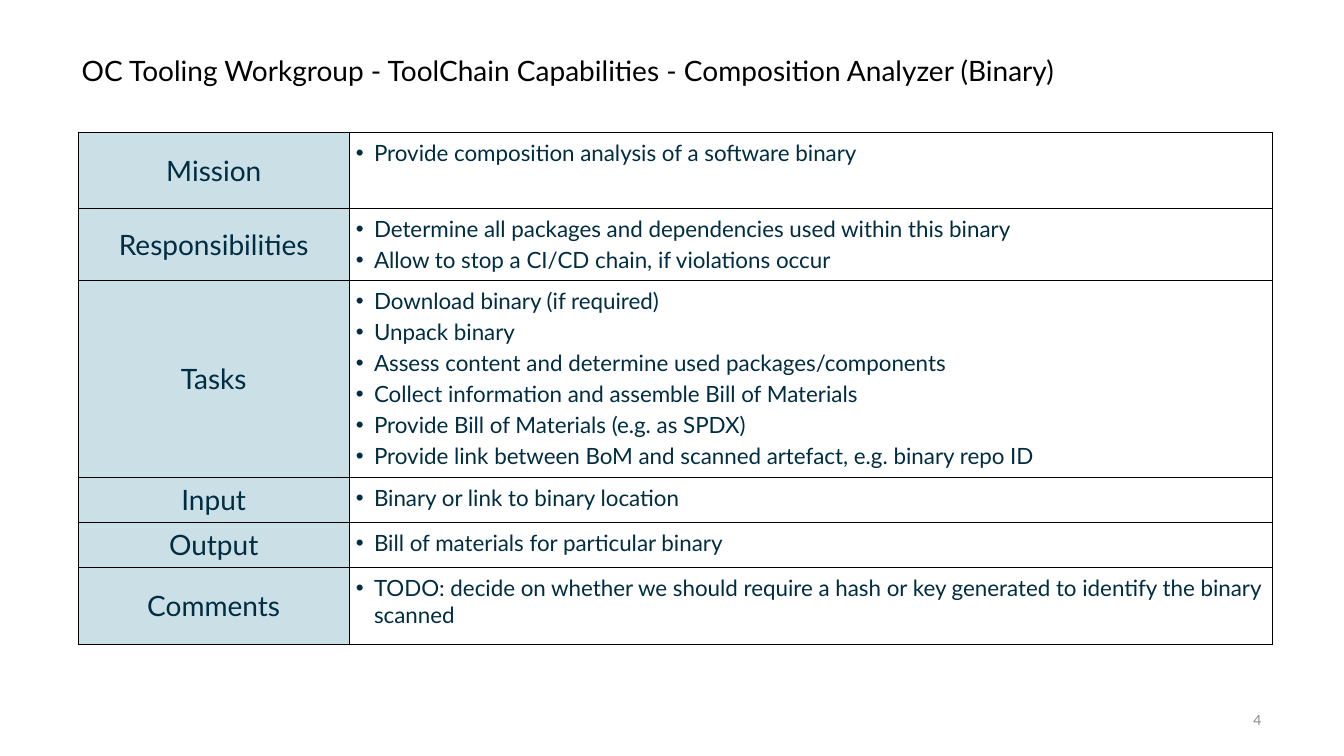
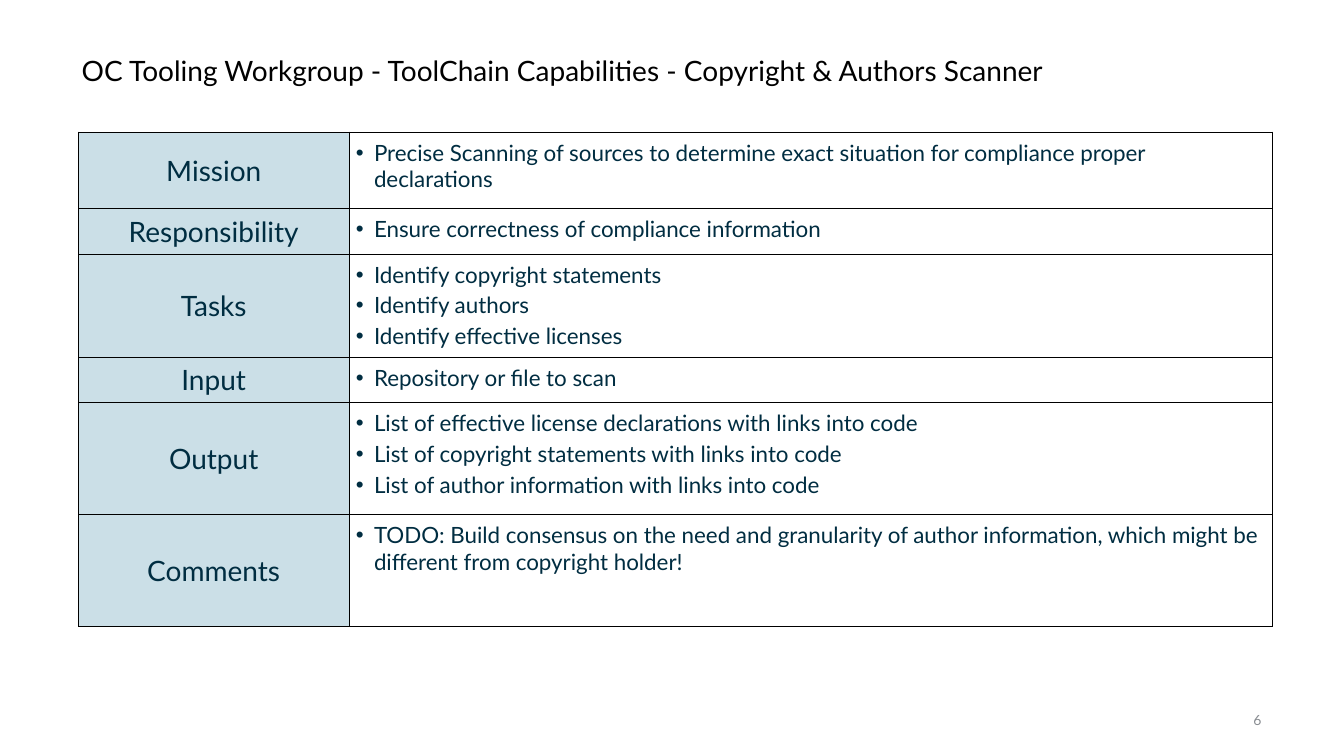
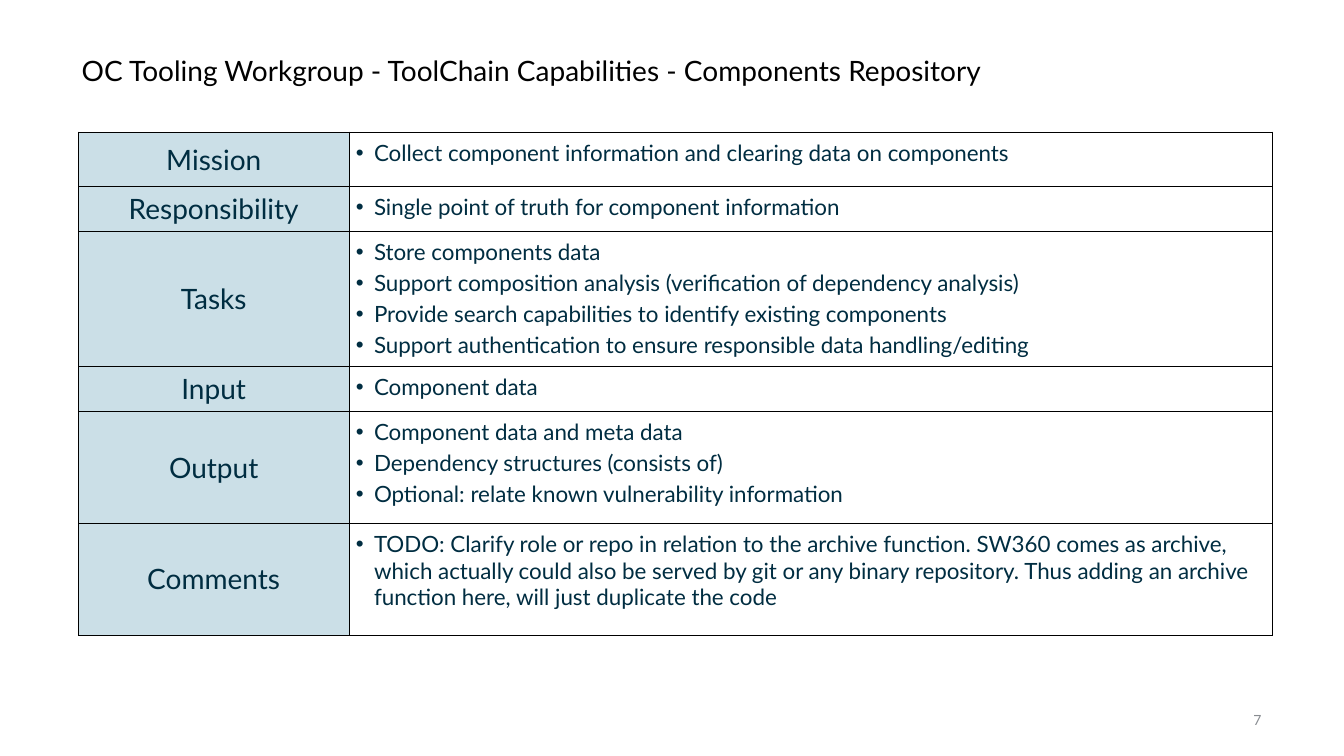
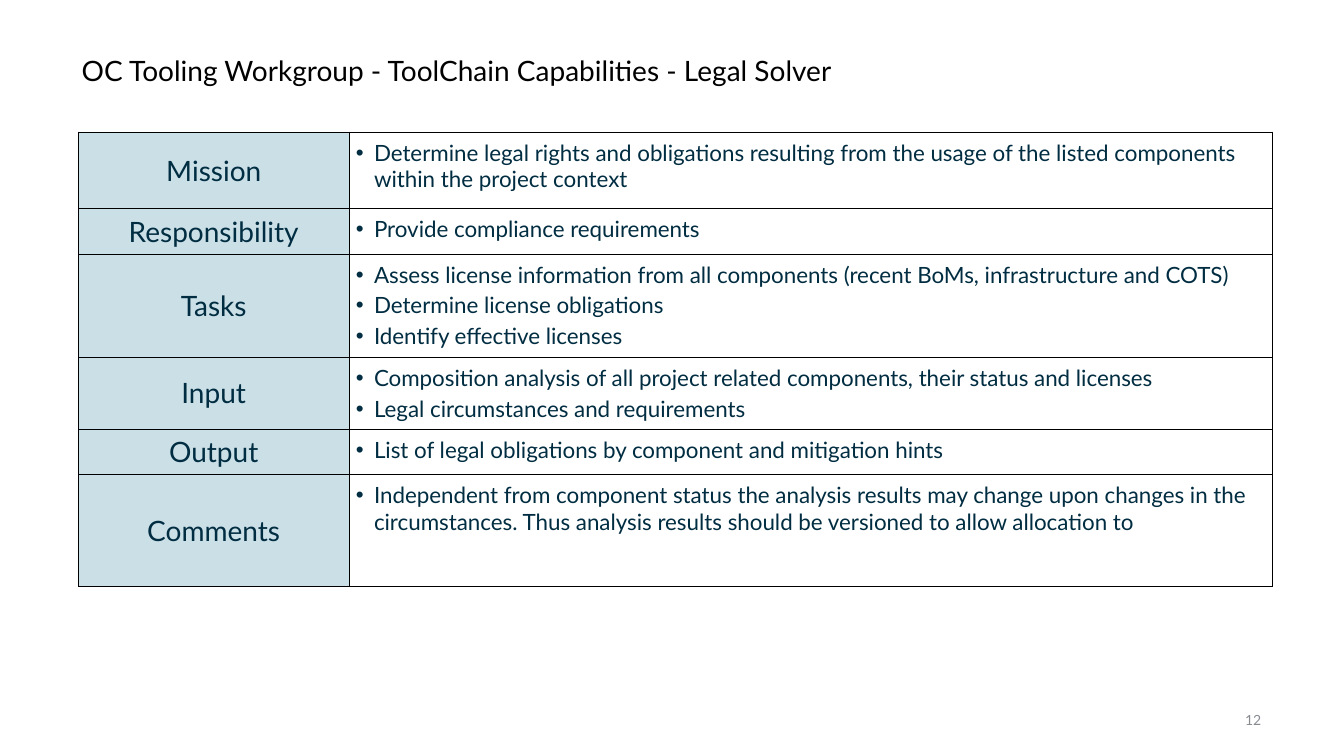
from pptx import Presentation
from pptx import util as u
from pptx.dml.color import RGBColor
from pptx.enum import text
from pptx.oxml import parse_xml
from pptx.oxml import ns

Inches, Pt = u.Inches, u.Pt
FONT = "Lato"
COLORS = {"title": "000000", "text": "002D41", "label": "CBDFE7",
          "border": "000000", "number": "888C91"}
TITLE_PREFIX = "OC Tooling Workgroup - ToolChain Capabilities - "
COLUMNS = (2.68, 9.16)

# Each row: label, bullets, and a minimum height in inches where it is taller than its text
SLIDES = [
    {"number": 4, "tool": "Composition Analyzer (Binary)", "rows": [
        ("Mission", ["Provide composition analysis of a software binary"], 0.76),
        ("Responsibilities", [
            "Determine all packages and dependencies used within this binary",
            "Allow to stop a CI/CD chain, if violations occur"]),
        ("Tasks", [
            "Download binary (if required)",
            "Unpack binary",
            "Assess content and determine used packages/components",
            "Collect information and assemble Bill of Materials",
            "Provide Bill of Materials (e.g. as SPDX)",
            "Provide link between BoM and scanned artefact, e.g. binary repo ID"]),
        ("Input", ["Binary or link to binary location"]),
        ("Output", ["Bill of materials for particular binary"]),
        ("Comments", ["TODO: decide on whether we should require a hash or key "
                      "generated to identify the binary scanned"], 0.76),
    ]},
    {"number": 6, "tool": "Copyright & Authors Scanner", "rows": [
        ("Mission", ["Precise Scanning of sources to determine exact situation for "
                     "compliance proper declarations"], 0.76),
        ("Responsibility", ["Ensure correctness of compliance information"]),
        ("Tasks", [
            "Identify copyright statements",
            "Identify authors",
            "Identify effective licenses"]),
        ("Input", ["Repository or file to scan"]),
        ("Output", [
            "List of effective license declarations with links into code",
            "List of copyright statements with links into code",
            "List of author information with links into code"], 1.11),
        ("Comments", ["TODO: Build consensus on the need and granularity of author "
                      "information, which might be different from copyright holder!"], 1.11),
    ]},
    {"number": 7, "tool": "Components Repository", "rows": [
        ("Mission", ["Collect component information and clearing data on components"], 0.54),
        ("Responsibility", ["Single point of truth for component information"]),
        ("Tasks", [
            "Store components data",
            "Support composition analysis (verification of dependency analysis)",
            "Provide search capabilities to identify existing components",
            "Support authentication to ensure responsible data handling/editing"]),
        ("Input", ["Component data"]),
        ("Output", [
            "Component data and meta data",
            "Dependency structures (consists of)",
            "Optional: relate known vulnerability information"], 1.11),
        ("Comments", ["TODO: Clarify role or repo in relation to the archive function. "
                      "SW360 comes as archive, which actually could also be served by git "
                      "or any binary repository. Thus adding an archive function here, "
                      "will just duplicate the code"], 1.11),
    ]},
    {"number": 12, "tool": "Legal Solver", "rows": [
        ("Mission", ["Determine legal rights and obligations resulting from the usage of "
                     "the listed components within the project context"], 0.76),
        ("Responsibility", ["Provide compliance requirements"]),
        ("Tasks", [
            "Assess license information from all components (recent BoMs, "
            "infrastructure and COTS)",
            "Determine license obligations",
            "Identify effective licenses"]),
        ("Input", [
            "Composition analysis of all project related components, their status and licenses",
            "Legal circumstances and requirements"]),
        ("Output", ["List of legal obligations by component and mitigation hints"]),
        ("Comments", ["Independent from component status the analysis results may change "
                      "upon changes in the circumstances. Thus analysis results should be "
                      "versioned to allow allocation to"], 1.11),
    ]},
]


def style(p, size, color, align=text.PP_ALIGN.LEFT):
    p.alignment = align
    for r in p.runs:
        r.font.name, r.font.size = FONT, Pt(size)
        r.font.color.rgb = RGBColor.from_string(COLORS[color])


def set_margins(box, inches):
    box.margin_left = box.margin_right = box.margin_top = box.margin_bottom = Inches(inches)


def add_title(s, tool):
    title = s.shapes.title
    title.left, title.top = Inches(0.76), Inches(0.39)
    title.width, title.height = Inches(10.62), Inches(0.65)
    tf = title.text_frame
    tf.text = TITLE_PREFIX + tool
    tf.auto_size = text.MSO_AUTO_SIZE.NONE
    tf.vertical_anchor = text.MSO_ANCHOR.MIDDLE
    set_margins(tf, 0.05)
    tf.paragraphs[0].line_spacing = 0.9
    style(tf.paragraphs[0], 20, "title")


def add_number(s, number):
    width = 0.11 + 0.08 * len(str(number))
    tf = s.shapes.add_textbox(Inches(12.56 - width), Inches(7),
                              Inches(width), Inches(0.29)).text_frame
    tf.text = str(number)
    tf.word_wrap = False
    tf.auto_size = text.MSO_AUTO_SIZE.SHAPE_TO_FIT_TEXT
    tf.vertical_anchor = text.MSO_ANCHOR.MIDDLE
    set_margins(tf, 0.05)
    style(tf.paragraphs[0], 10, "number", text.PP_ALIGN.RIGHT)


def add_borders(cell):
    tcPr = cell._tc.get_or_add_tcPr()
    for side in "LRTB":
        tcPr.append(parse_xml(
            f'<a:ln{side} {ns.nsdecls("a")} w="{Pt(0.5)}"><a:solidFill>'
            f'<a:srgbClr val="{COLORS["border"]}"/></a:solidFill></a:ln{side}>'))


def fill_label(cell, label):
    cell.text = label
    cell.vertical_anchor = text.MSO_ANCHOR.MIDDLE
    set_margins(cell, 0)
    cell.fill.solid()
    cell.fill.fore_color.rgb = RGBColor.from_string(COLORS["label"])
    style(cell.text_frame.paragraphs[0], 20, "text", text.PP_ALIGN.CENTER)


def fill_bullets(cell, bullets):
    cell.text = "\n".join(bullets)
    cell.vertical_anchor = text.MSO_ANCHOR.TOP
    set_margins(cell, 0.07)
    cell.fill.background()
    for i, p in enumerate(cell.text_frame.paragraphs):
        pPr = p._p.get_or_add_pPr()
        pPr.set("marL", str(Inches(0.18)))
        pPr.set("indent", str(-Inches(0.18)))
        pPr.append(parse_xml(f'<a:buFont {ns.nsdecls("a")} typeface="Arial"/>'))
        pPr.append(parse_xml(f'<a:buChar {ns.nsdecls("a")} char="•"/>'))
        if i:
            p.space_before = Pt(3)
        style(p, 16, "text")


def row_height(bullets, minimum=0.45):
    return max(minimum, round(0.09 + 0.308 * len(bullets), 2))


def add_capabilities(s, rows):
    heights = [row_height(*row[1:]) for row in rows]
    table = s.shapes.add_table(len(rows), len(COLUMNS), Inches(0.78), Inches(1.31),
                               Inches(sum(COLUMNS)), Inches(sum(heights))).table
    table.first_row = table.horz_banding = False
    for column, width in zip(table.columns, COLUMNS):
        column.width = Inches(width)
    for table_row, height, (label, bullets, *_) in zip(table.rows, heights, rows):
        table_row.height = Inches(height)
        for cell in table_row.cells:
            add_borders(cell)
        fill_label(table_row.cells[0], label)
        fill_bullets(table_row.cells[1], bullets)


def main():
    prs = Presentation()
    prs.slide_width, prs.slide_height = Inches(13.33), Inches(7.5)
    title_only = prs.slide_layouts[5]
    for content in SLIDES:
        s = prs.slides.add_slide(title_only)
        add_title(s, content["tool"])
        add_number(s, content["number"])
        add_capabilities(s, content["rows"])
    prs.save("out.pptx")


if __name__ == "__main__":
    main()
